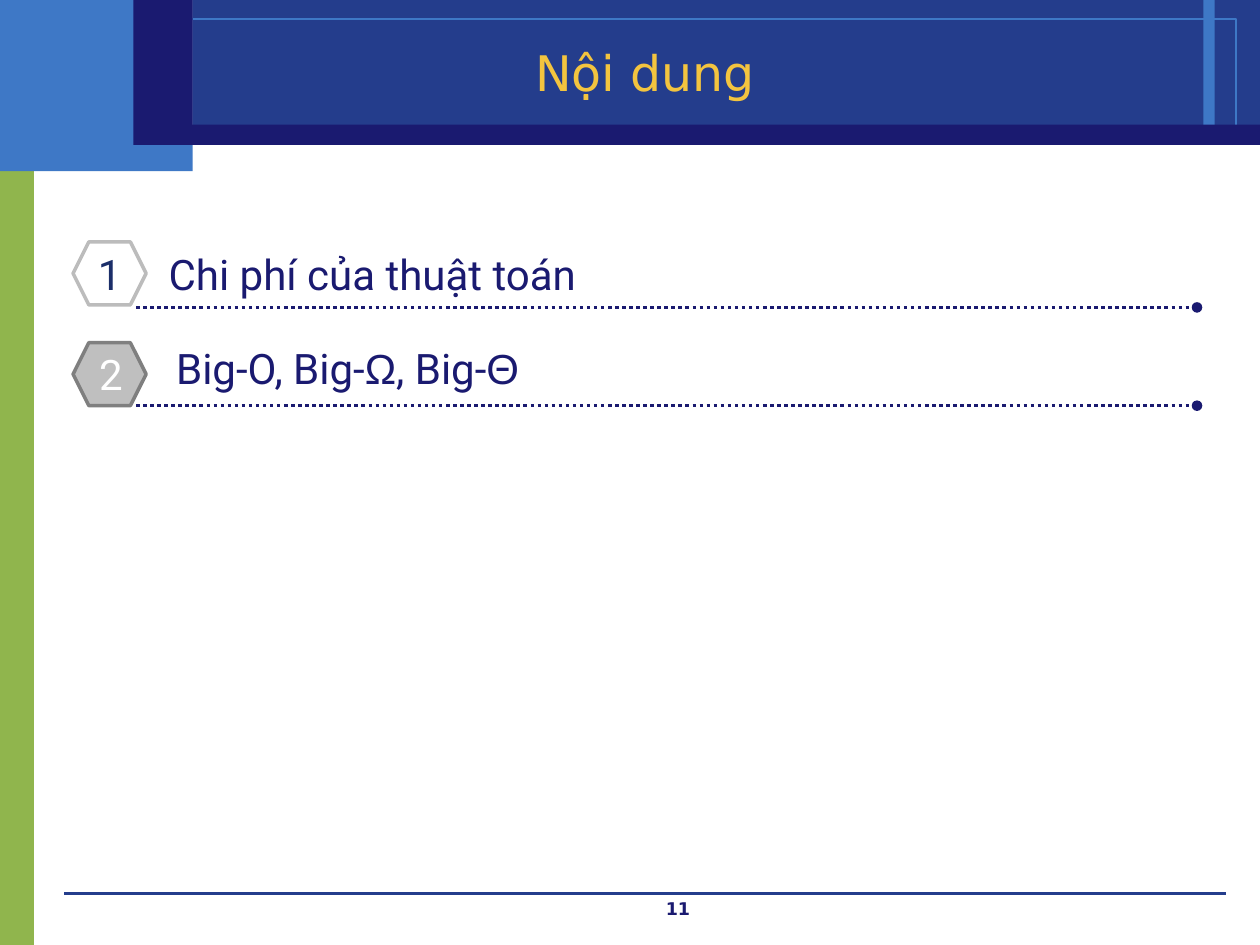
from pptx import Presentation
from pptx.dml.color import RGBColor
from pptx.enum.dml import MSO_LINE
from pptx.enum.shapes import MSO_CONNECTOR, MSO_SHAPE
from pptx.enum.text import MSO_ANCHOR, PP_ALIGN
from pptx.oxml.ns import qn
from pptx.util import Inches, Pt
from lxml import etree

RECTANGLE = MSO_SHAPE.RECTANGLE
HEXAGON = MSO_SHAPE.HEXAGON
STRAIGHT = MSO_CONNECTOR.STRAIGHT
DOTTED = MSO_LINE.ROUND_DOT
LEFT, CENTER = PP_ALIGN.LEFT, PP_ALIGN.CENTER
TOP, MIDDLE = MSO_ANCHOR.TOP, MSO_ANCHOR.MIDDLE

NAVY, BLUE, SKY = "1A1A70", "243D8C", "3E78C6"
GREEN, GOLD, WHITE = "90B54D", "F3C43F", "FFFFFF"


def color(value):
    return RGBColor.from_string(value)


def add_block(page, place, kind=RECTANGLE, fill=None, line=None, line_width=0):
    shape = page.shapes.add_shape(kind, *map(Inches, place))
    shape.shadow.inherit = False
    if fill:
        shape.fill.solid()
        shape.fill.fore_color.rgb = color(fill)
    else:
        shape.fill.background()
    if line:
        shape.line.color.rgb = color(line)
        shape.line.width = Pt(line_width)
    else:
        shape.line.fill.background()
    return shape


def add_rule(page, left, right, y, line, width=0, dash=None, tail=None):
    rule = page.shapes.add_connector(
        STRAIGHT, Inches(left), Inches(y), Inches(right), Inches(y))
    rule.line.color.rgb = color(line)
    rule.line.width = Pt(width)
    if dash:
        rule.line.dash_style = dash
    if tail:
        etree.SubElement(rule.line._get_or_add_ln(), qn("a:tailEnd"), type=tail)
    etree.SubElement(rule._element.spPr, qn("a:effectLst"))


def write(shape, *parts, font="Roboto", size=24, ink=NAVY, bold=False,
          align=LEFT, anchor=TOP, wrap=True):
    """Fill a shape with one paragraph; a part is text or a (text, font) pair."""
    frame = shape.text_frame
    frame.word_wrap = wrap
    frame.vertical_anchor = anchor
    para = frame.paragraphs[0]
    para.alignment = align
    for part in parts:
        text, face = (part, font) if isinstance(part, str) else part
        span = para.add_run()
        span.text = text
        span.font.name = face
        span.font.size = Pt(size)
        span.font.bold = bold
        span.font.color.rgb = color(ink)


def add_text(page, place, *parts, **text_format):
    box = page.shapes.add_textbox(*map(Inches, place))
    write(box, *parts, **text_format)


def add_frame(page):
    """Draw the header, the side band and the footer rule."""
    add_block(page, (0, 1.07, 0.27, 6.43), fill=GREEN)
    add_block(page, (0, 0, 1.53, 1.36), fill=SKY)
    add_block(page, (1.53, 0, 8.47, 1.15), fill=BLUE)
    add_block(page, (9.55, 0, 0.09, 1), fill=SKY)
    add_block(page, (0.2, 0.15, 9.61, 0.85), line=SKY)
    add_rule(page, 0.51, 9.73, 7.09, BLUE)
    add_block(page, (1.3, 0.99, 8.7, 0.16), fill=NAVY)
    add_block(page, (1.06, 0, 0.47, 1.15), fill=NAVY)


def add_topic_rule(page, y):
    add_rule(page, 1.08, 9.5, y, NAVY, width=2, dash=DOTTED, tail="oval")


def add_topics(page):
    add_text(page, (1.24, 1.92, 3.65, 0.5), "Chi phí của thuật toán", wrap=False)
    add_topic_rule(page, 2.44)
    badge = add_block(page, (0.58, 1.92, 0.58, 0.5), HEXAGON,
                      line="BCBCBC", line_width=2)
    write(badge, "1", ink="1B2E69", align=CENTER, anchor=MIDDLE, wrap=False)

    add_topic_rule(page, 3.22)
    add_text(page, (1.3, 2.67, 3.16, 0.5), "Big-O, Big-", ("Ω", "Arial"),
             ", Big-", ("Θ", "Arial"), wrap=False)
    add_block(page, (0.58, 2.72, 0.58, 0.5), HEXAGON,
              fill="BFBFBF", line="7F7F7F", line_width=2)
    add_text(page, (0.67, 2.72, 0.42, 0.5), "2", ink=WHITE, align=CENTER)


def main():
    deck = Presentation()
    deck.slide_width, deck.slide_height = Inches(10), Inches(7.5)
    page = deck.slides.add_slide(deck.slide_layouts[6])
    add_frame(page)
    add_text(page, (3.67, 7.08, 3.42, 0.25), "11", font="DejaVu Sans",
             size=10, bold=True, align=CENTER)
    add_text(page, (0.82, 0.26, 8.6, 0.62), "Nội dung", font="DejaVu Sans",
             size=28, ink=GOLD, align=CENTER, anchor=MIDDLE)
    add_topics(page)
    deck.save("out.pptx")


if __name__ == "__main__":
    main()
